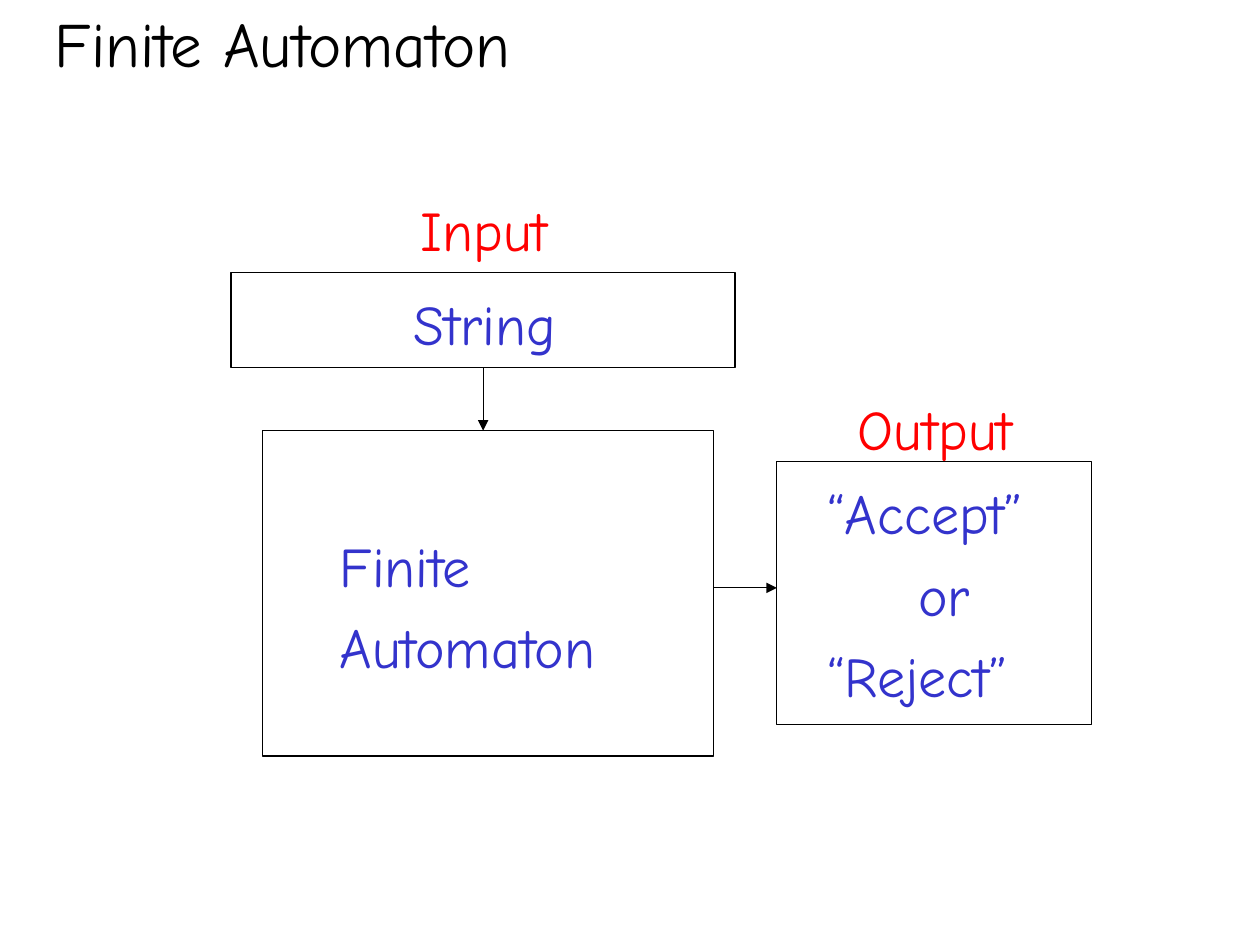
"""Build the Finite Automaton slide: a string goes in, accept or reject comes out."""
import pptx
import pptx.dml.color
import pptx.enum.shapes
import pptx.enum.text
import pptx.oxml
import pptx.oxml.ns
import pptx.util
from dataclasses import dataclass

Cm, Pt = pptx.util.Cm, pptx.util.Pt
RGB = pptx.dml.color.RGBColor


@dataclass(frozen=True)
class Theme:
    font: str = "Comic Neue"
    ink: RGB = RGB(0, 0, 0)
    label: RGB = RGB(0xFF, 0, 0)
    content: RGB = RGB(0x33, 0x33, 0xCC)
    title_size: int = 36
    body_size: int = 32
    line_width: float = 0.75


theme = Theme()


def add_run(p, text, size, color):
    r = p.add_run()
    r.text = text
    r.font.name = theme.font
    r.font.size = Pt(size)
    r.font.color.rgb = color


prs = pptx.Presentation()
prs.slide_width, prs.slide_height = Cm(25.4), Cm(19.05)
s = prs.slides.add_slide(prs.slide_layouts[5])

title = s.shapes.title
title.left, title.top, title.width, title.height = Cm(0.85), Cm(0), Cm(24.55), Cm(1.69)
tf = title.text_frame
tf.vertical_anchor = pptx.enum.text.MSO_ANCHOR.MIDDLE
p = tf.paragraphs[0]
p.alignment = pptx.enum.text.PP_ALIGN.LEFT
add_run(p, "Finite Automaton", theme.title_size, theme.ink)

rects = {}
for name, box in {
    "automaton": (5.29, 8.68, 9.1, 6.56),
    "string": (4.66, 5.5, 10.16, 1.91),
    "output": (15.66, 9.31, 6.35, 5.29),
}.items():
    sp = s.shapes.add_shape(pptx.enum.shapes.MSO_SHAPE.RECTANGLE, *map(Cm, box))
    sp.shadow.inherit = False
    sp.fill.background()
    sp.line.color.rgb = theme.ink
    sp.line.width = Pt(theme.line_width)
    rects[name] = sp

texts = [
    ((8.23, 3.81, 3.07, 1.63), theme.label, [("Input", 0)]),
    ((16.43, 9.53, 4.45, 4.9), theme.content,
     [("“Accept”", 0), ("or", 1.83), ("“Reject”", 0)]),
    ((8.08, 5.72, 3.38, 1.63), theme.content, [("String", 0)]),
    ((6.6, 10.59, 5.72, 3.25), theme.content, [("Finite", 0), ("Automaton", 0)]),
    ((17.04, 7.82, 3.63, 1.63), theme.label, [("Output", 0)]),
]
for box, color, lines in texts:
    tf = s.shapes.add_textbox(*map(Cm, box)).text_frame
    tf.word_wrap = False
    tf.auto_size = pptx.enum.text.MSO_AUTO_SIZE.SHAPE_TO_FIT_TEXT
    for i, (text, indent) in enumerate(lines):
        p = tf.add_paragraph() if i else tf.paragraphs[0]
        if i:
            p.space_before = Pt(8)
        if indent:
            p._p.get_or_add_pPr().set("marL", str(Cm(indent)))
        add_run(p, text, theme.body_size, color)

arrows = [
    ((9.74, 7.41, 9.74, 8.68), "string"),
    ((14.39, 11.85, 15.66, 11.85), None),
]
for ends, source in arrows:
    c = s.shapes.add_connector(pptx.enum.shapes.MSO_CONNECTOR.STRAIGHT, *map(Cm, ends))
    if source:
        c.begin_connect(rects[source], 2)
    c.line.color.rgb = theme.ink
    c.line.width = Pt(theme.line_width)
    tail = pptx.oxml.parse_xml(
        f'<a:tailEnd {pptx.oxml.ns.nsdecls("a")} type="triangle"/>')
    c.line._get_or_add_ln().append(tail)
    c._element.spPr.append(
        pptx.oxml.parse_xml(f'<a:effectLst {pptx.oxml.ns.nsdecls("a")}/>'))

prs.save("out.pptx")
